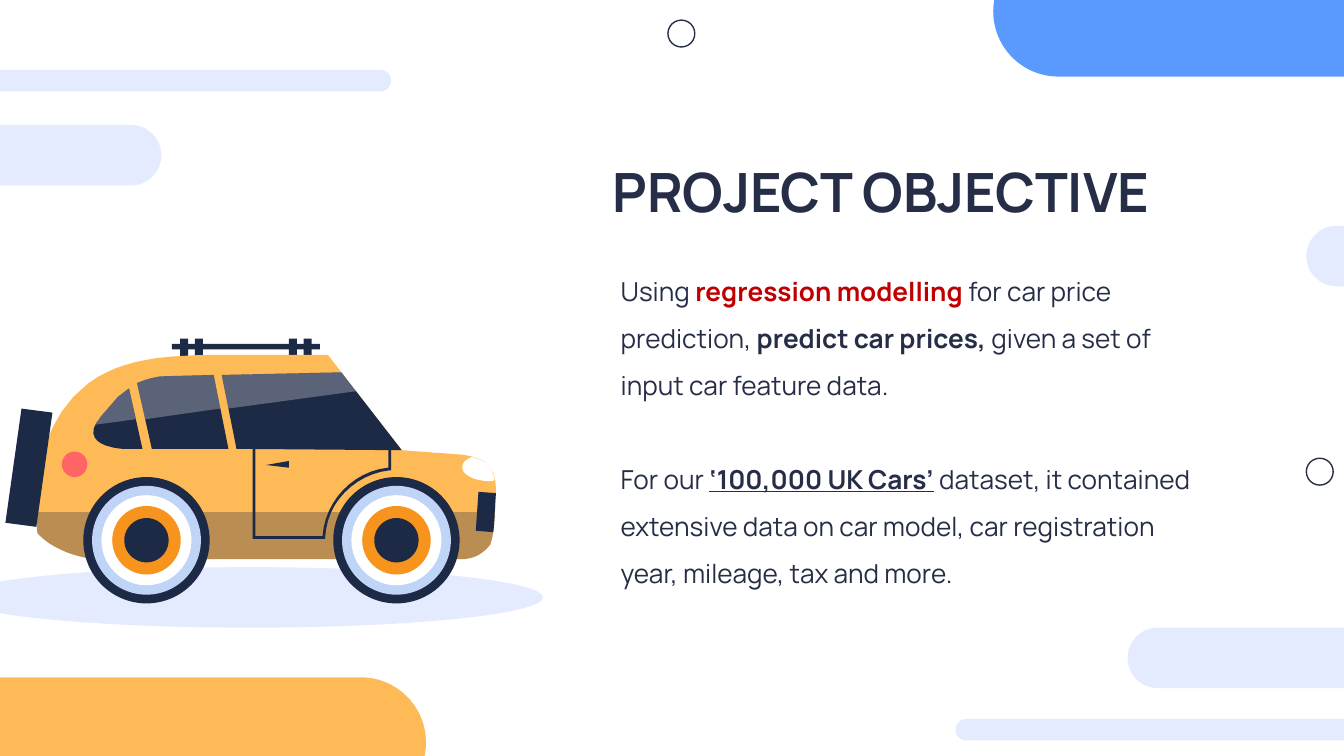
import pptx
import pptx.util
import pptx.dml.color
import pptx.enum.shapes
import pptx.enum.text
import pptx.oxml
import pptx.oxml.ns

W = 10
H = W * 9 / 16
FONT = "Manrope"
INK, NAVY, PALE = "262E47", "1D2A46", "E4EBFF"
BLUE, ORANGE, WHITE = "5A9AFF", "FFBA58", "FFFFFF"
RECT = pptx.enum.shapes.MSO_SHAPE.RECTANGLE
PILL = pptx.enum.shapes.MSO_SHAPE.ROUNDED_RECTANGLE
OVAL = pptx.enum.shapes.MSO_SHAPE.OVAL

TITLE = [[("PROJECT OBJECTIVE", {"bold": True})]]
BODY = [
    [
        ("Using ", {}),
        ("regression modelling ", {"bold": True, "color": "C00000"}),
        ("for car price prediction, ", {}),
        ("predict car prices, ", {"bold": True}),
        ("given a set of input car feature data.", {}),
    ],
    [
        ("For our ", {}),
        ("‘100,000 UK Cars’", {"bold": True, "underline": True}),
        (" dataset, it contained extensive data on car model, "
         "car registration year, mileage, tax and more.", {}),
    ],
]

LARGE, MEDIUM, THIN = (3.81, 0.97), (2.22, 0.45), (3.81, 0.16)
PILLS = [
    (7.39, -0.4, LARGE, BLUE),
    (-0.9, 0.52, THIN, PALE),
    (-1.02, 0.93, MEDIUM, PALE),
    (9.72, 1.68, MEDIUM, PALE),
    (-0.64, 5.04, LARGE, ORANGE),
    (8.39, 4.67, MEDIUM, PALE),
    (7.11, 5.35, THIN, PALE),
]
RINGS = [(9.72, 3.41), (4.97, 0.15)]

RACK_BAR = (1.28, 2.56, 1.1, 0.04)
RACK_POSTS = [1.34, 1.45, 2.15, 2.26]
WHEEL_CENTERS = [2.95, 1.09]
WHEEL_Y = 4.02
WHEEL_LAYERS = [(0.94, NAVY), (0.81, "C0D4F8"), (0.67, WHITE),
                (0.51, "F7941E"), (0.33, NAVY)]

LOWER_EDGE = ("C 3.66 4.02 3.65 4.04 3.65 4.05 C 3.62 4.09 3.56 4.15 3.46 4.16 "
              "L 0.69 4.16 C 0.69 4.16 0.43 4.13 0.28 3.97 ")
BODYWORK = [
    ("M 1.69 2.64 C 1.9 2.64 2.15 2.64 2.44 2.64 L 2.99 3.35 "
     "C 3.12 3.36 3.26 3.37 3.4 3.38 C 3.56 3.39 3.61 3.44 3.63 3.46 "
     "C 3.66 3.49 3.69 3.55 3.69 3.63 C 3.69 3.81 3.67 3.97 3.66 4.01 "
     + LOWER_EDGE +
     "C 0.28 3.97 0.16 3.23 0.66 2.85 C 0.91 2.67 1.21 2.64 1.69 2.64", ORANGE, 100),
    ("M 3.68 3.81 C 3.68 3.91 3.67 3.98 3.66 4.01 " + LOWER_EDGE +
     "C 0.28 3.97 0.27 3.91 0.27 3.81", NAVY, 30),
    ("M 3.51 3.4 C 3.59 3.42 3.62 3.45 3.63 3.46 C 3.65 3.48 3.67 3.52 3.68 3.57 "
     "C 3.67 3.58 3.66 3.58 3.64 3.58 C 3.53 3.58 3.44 3.53 3.44 3.48 "
     "C 3.44 3.44 3.47 3.42 3.51 3.4", WHITE, 100),
    ("M 3.56 3.66 L 3.69 3.67 C 3.68 3.79 3.68 3.9 3.67 3.96 L 3.54 3.95", NAVY, 100),
]
REAR_CURVE = "C 0.91 2.93 0.93 2.91 0.96 2.89 "
MID_CURVE = "L 1.02 2.85 C 1.11 2.81 1.2 2.8 1.2 2.8 "
DETAILS = [
    ("M 0.16 3.04 L 0.39 3.07 L 0.27 3.92 L 0.04 3.89", NAVY, 100),
    ("M 0.96 2.89 L 1.06 3.34 L 0.92 3.34 C 0.88 3.34 0.57 3.31 0.75 3.1 "
     "L 0.88 2.95 " + REAR_CURVE +
     "M 1.59 2.79 L 1.7 3.34 L 1.13 3.34 " + MID_CURVE +
     "M 2.54 2.77 L 2.99 3.35 L 1.76 3.34 L 1.65 2.79", NAVY, 100),
    ("M 2.91 3.31 L 2.91 3.5 L 2.9 3.5 C 2.64 3.53 2.43 3.74 2.42 4 L 2.42 4.01 "
     "L 1.88 4.01 L 1.88 3.31 L 1.9 3.31 L 1.9 3.99 L 2.4 3.99 "
     "C 2.42 3.73 2.62 3.51 2.89 3.48 L 2.89 3.31", NAVY, 100),
    ("M 2.15 3.43 L 2.15 3.48 L 1.98 3.46", NAVY, 100),
    ("M 2.54 2.77 L 2.66 2.91 L 1.7 3.04 L 1.65 2.79", WHITE, 27),
    ("M 1.59 2.79 L 1.64 3.04 L 1.08 3.12 " + MID_CURVE, WHITE, 27),
    ("M 0.96 2.89 L 1.01 3.12 L 0.71 3.16 C 0.72 3.14 0.73 3.12 0.75 3.1 "
     "L 0.88 2.95 " + REAR_CURVE, WHITE, 27),
]
TAIL_LIGHT = (0.46, 3.36, 0.19, 0.19)


def rgb(color):
    return pptx.dml.color.RGBColor.from_string(color)


def paint(sp, fill=None, line=None, alpha=100):
    sp.shadow.inherit = False
    if fill:
        sp.fill.solid()
        sp.fill.fore_color.rgb = rgb(fill)
    else:
        sp.fill.background()
    if line:
        sp.line.color.rgb = rgb(line)
        sp.line.width = pptx.util.Pt(0.75)
    else:
        sp.line.fill.background()
    if alpha < 100:
        color = sp._element.spPr.find(".//" + pptx.oxml.ns.qn("a:srgbClr"))
        node = pptx.oxml.parse_xml(
            f'<a:alpha {pptx.oxml.ns.nsdecls("a")} val="{alpha * 1000}"/>')
        color.append(node)


def shape(kind, box, fill=None, line=None):
    sp = s.shapes.add_shape(kind, *map(pptx.util.Inches, box))
    paint(sp, fill, line)
    return sp


def curve(p0, p1, p2, p3, steps=12):
    for i in range(1, steps + 1):
        t = i / steps
        u = 1 - t
        yield tuple(u**3 * a + 3 * u * u * t * b + 3 * u * t * t * c + t**3 * d
                    for a, b, c, d in zip(p0, p1, p2, p3))


def contours(outline):
    for contour in outline.split("M")[1:]:
        points = []
        for part in contour.replace("L", "|L").replace("C", "|C").split("|"):
            n = [float(v) * 1000 for v in part.strip("LC ").split()]
            pairs = list(zip(n[::2], n[1::2]))
            points += curve(points[-1], *pairs) if part[0] == "C" else pairs
        yield points


def freeform(outline, fill, alpha):
    first, *rest = contours(outline)
    fb = s.shapes.build_freeform(*first[0], scale=914.4)
    fb.add_line_segments(first[1:], close=True)
    for points in rest:
        fb.move_to(*points[0])
        fb.add_line_segments(points[1:], close=True)
    paint(fb.convert_to_shape(), fill, alpha=alpha)


def text(box, paragraphs, size, spacing=1, gap=0):
    tf = s.shapes.add_textbox(*map(pptx.util.Inches, box)).text_frame
    tf.word_wrap = True
    tf.vertical_anchor = pptx.enum.text.MSO_ANCHOR.TOP
    for side in ("left", "top", "right", "bottom"):
        setattr(tf, "margin_" + side, pptx.util.Inches(0.1))
    for i, runs in enumerate(paragraphs):
        p = tf.add_paragraph() if i else tf.paragraphs[0]
        p.line_spacing = spacing
        p.space_before = pptx.util.Pt(gap if i else 0)
        for words, style in runs:
            r = p.add_run()
            r.text = words
            r.font.name = FONT
            r.font.size = pptx.util.Pt(size)
            r.font.bold = style.get("bold", False)
            r.font.underline = style.get("underline", False)
            r.font.color.rgb = rgb(style.get("color", INK))


prs = pptx.Presentation()
prs.slide_width, prs.slide_height = pptx.util.Inches(W), pptx.util.Inches(H)
s = prs.slides.add_slide(prs.slide_layouts[6])

for x, y, size, color in PILLS:
    shape(PILL, (x, y, *size), color).adjustments[0] = 0.5
for x, y in RINGS:
    shape(OVAL, (x, y, 0.2, 0.2), line=INK)
shape(OVAL, (-0.32, 4.22, 4.36, 0.45), PALE)

text((4.46, 1.08, 4.92, 0.58), TITLE, 29)
text((4.52, 1.83, 4.47, 2.62), BODY, 14, spacing=1.5, gap=25.2)

shape(RECT, RACK_BAR, NAVY)
for x in RACK_POSTS:
    shape(RECT, (x, 2.52, 0.06, 0.18), NAVY)
for part in BODYWORK:
    freeform(*part)
for x in WHEEL_CENTERS:
    for d, color in WHEEL_LAYERS:
        shape(OVAL, (x - d / 2, WHEEL_Y - d / 2, d, d), color)
shape(OVAL, TAIL_LIGHT, "FF6565")
for part in DETAILS:
    freeform(*part)

prs.save("out.pptx")
